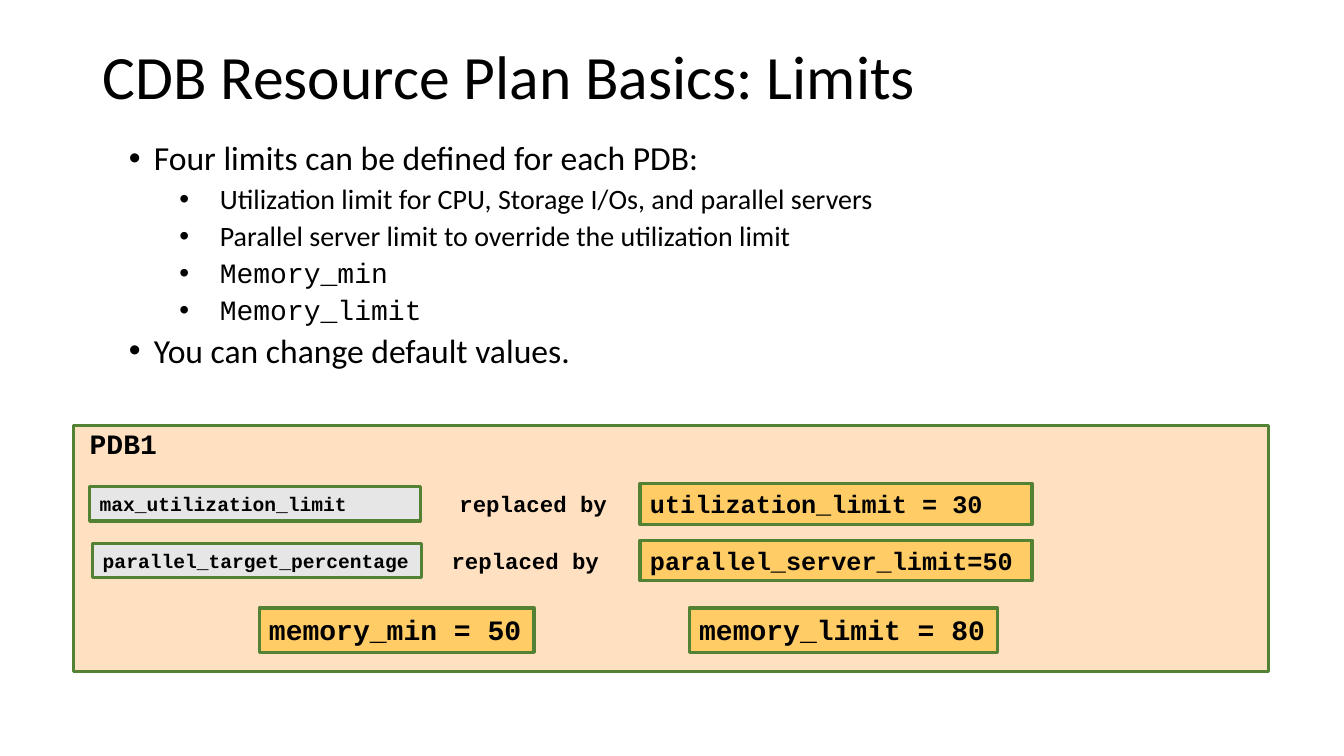
from dataclasses import dataclass

from lxml.etree import SubElement
from pptx import Presentation
from pptx.dml.color import RGBColor
from pptx.enum.shapes import MSO_SHAPE as Shape
from pptx.enum.text import MSO_ANCHOR as Anchor, PP_ALIGN as Align
from pptx.oxml.ns import qn
from pptx.util import Cm, Pt


@dataclass(frozen=True)
class Theme:
    sans: str = "Calibri"
    mono: str = "Courier New"
    ink: str = "000000"
    border: str = "548235"
    panel: str = "FFE1C2"
    old: str = "E7E6E6"
    new: str = "FFCC66"
    title: int = 44
    point: int = 24
    detail: int = 20
    memory: int = 20
    value: int = 18
    label: int = 16
    parameter: int = 14


theme = Theme()

# Content
TITLE = "CDB Resource Plan Basics: Limits"
BULLETS = [  # level, font, text
    (1, theme.sans, "Four limits can be defined for each PDB:"),
    (2, theme.sans, "Utilization limit for CPU, Storage I/Os, and parallel servers"),
    (2, theme.sans, "Parallel server limit to override the utilization limit"),
    (2, theme.mono, "Memory_min"),
    (2, theme.mono, "Memory_limit"),
    (1, theme.sans, "You can change default values."),
]
PANEL_NAME = "PDB1"
LABEL = "replaced by"
REPLACEMENTS = [  # old parameter, its left and width, label left, new setting
    ("max_utilization_limit", 2.26, 8.33, 11.58, "utilization_limit = 30"),
    ("parallel_target_percentage", 2.34, 8.28, 11.38, "parallel_server_limit=50"),
]
MEMORY = [  # setting, left, width
    ("memory_min = 50", 6.53, 6.93),
    ("memory_limit = 80", 17.37, 7.77),
]

# Layout in centimetres
LEVELS = {1: (1.9, -0.63, theme.point), 2: (3.56, -1.02, theme.detail)}
ROW_TOP, ROW_STEP, ROW_HEIGHT = 12.19, 1.42, 1.02
OLD_HEIGHT, NEW_LEFT, NEW_WIDTH = 0.86, 16.13, 9.88
MEMORY_TOP, MEMORY_HEIGHT = 15.32, 1.12

deck = Presentation()
deck.slide_width, deck.slide_height = Cm(33.87), Cm(19.05)
page = deck.slides.add_slide(deck.slide_layouts[6])


def style(para, text, size, font, bold=False):
    para.text = text
    para.alignment = Align.LEFT
    para.font.size, para.font.name, para.font.bold = Pt(size), font, bold
    para.font.color.rgb = RGBColor.from_string(theme.ink)


def add_text(left, top, width, height, anchor=Anchor.TOP):
    box = page.shapes.add_textbox(Cm(left), Cm(top), Cm(width), Cm(height))
    box.text_frame.word_wrap = True
    box.text_frame.vertical_anchor = anchor
    return box.text_frame


def add_box(text, left, top, width, height, fill, size, anchor=Anchor.TOP):
    box = page.shapes.add_shape(Shape.RECTANGLE, Cm(left), Cm(top), Cm(width), Cm(height))
    box.shadow.inherit = False
    box.fill.solid()
    box.fill.fore_color.rgb = RGBColor.from_string(fill)
    box.line.color.rgb = RGBColor.from_string(theme.border)
    box.line.width = Pt(2.25)
    frame = box.text_frame
    frame.word_wrap = True
    frame.vertical_anchor = anchor
    style(frame.paragraphs[0], text, size, theme.mono, bold=True)
    return frame


# Title
title = add_text(2.34, 1.02, 29.21, 1.98, Anchor.MIDDLE).paragraphs[0]
title.line_spacing = 0.9
style(title, TITLE, theme.title, theme.sans)

# Bullets
body = add_text(1.73, 3.45, 30.4, 6.35)
for index, (level, font, text) in enumerate(BULLETS):
    para = body.add_paragraph() if index else body.paragraphs[0]
    margin, indent, size = LEVELS[level]
    para.level = level - 1
    para.line_spacing = 0.9
    para.space_before = Pt(5 if index else 0)
    properties = para._p.get_or_add_pPr()
    properties.set("marL", str(Cm(margin)))
    properties.set("indent", str(Cm(indent)))
    SubElement(properties, qn("a:buFont"), typeface="Arial")
    SubElement(properties, qn("a:buChar"), char="•")
    style(para, text, size, font)

# Panel of the pluggable database
panel = add_box(PANEL_NAME, 1.85, 10.72, 30.12, 6.2, theme.panel, theme.memory)
panel.margin_left, panel.margin_top = Cm(0.41), Cm(0.51)
panel.paragraphs[0].line_spacing = Pt(10)

# Old parameters and the settings that replace them
for row, (old, old_left, old_width, label_left, new) in enumerate(REPLACEMENTS):
    top = ROW_TOP + row * ROW_STEP
    old_top = top + (ROW_HEIGHT - OLD_HEIGHT) / 2
    add_box(old, old_left, old_top, old_width, OLD_HEIGHT, theme.old,
            theme.parameter, Anchor.MIDDLE)
    label = add_text(label_left, top, 4, ROW_HEIGHT, Anchor.MIDDLE)
    label.margin_left = label.margin_right = 0
    style(label.paragraphs[0], LABEL, theme.label, theme.mono, bold=True)
    add_box(new, NEW_LEFT, top, NEW_WIDTH, ROW_HEIGHT, theme.new, theme.value)

# Memory settings
for text, left, width in MEMORY:
    add_box(text, left, MEMORY_TOP, width, MEMORY_HEIGHT, theme.new, theme.memory)

deck.save("out.pptx")
